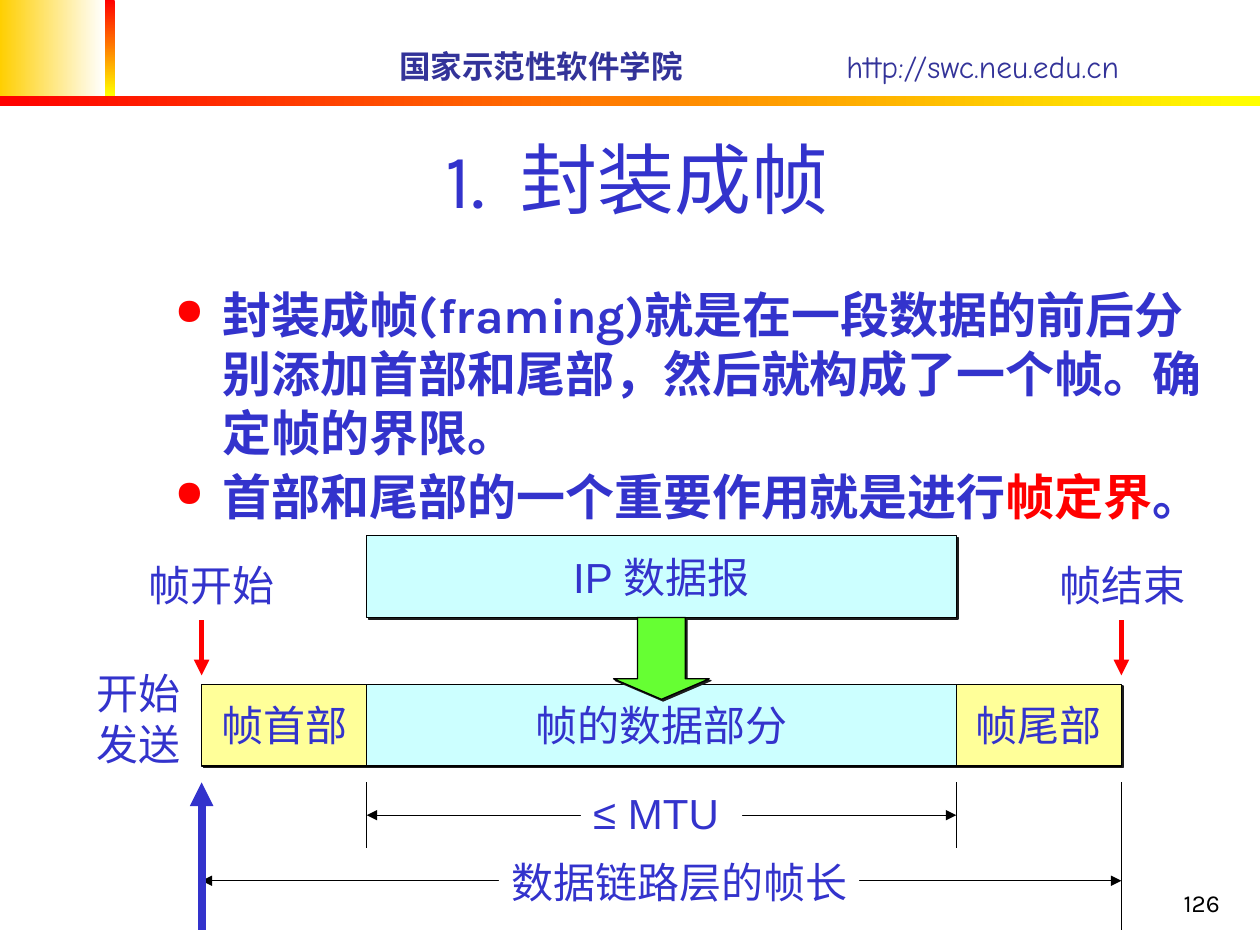
from dataclasses import dataclass

from lxml import etree
from pptx import Presentation
from pptx.dml.color import RGBColor
from pptx.enum.shapes import MSO_CONNECTOR as Connector, MSO_SHAPE as Shape
from pptx.enum.text import MSO_ANCHOR as Anchor, PP_ALIGN as Align
from pptx.oxml.ns import qn
from pptx.util import Inches, Pt


@dataclass(frozen=True)
class Theme:
    ink: str = "3333CC"
    header: str = "333399"
    black: str = "000000"
    white: str = "FFFFFF"
    red: str = "FF0000"
    yellow: str = "FFFF00"
    gold: str = "FFCF01"
    cream: str = "FFFF99"
    aqua: str = "CCFFFF"
    green: str = "66FF33"
    shadow: str = "1C1C1C"
    font: str = "Karla"
    header_font: str = "Comic Neue"
    label_font: str = "Arial"
    title_size: int = 44
    body_size: int = 28
    label_size: int = 24
    header_size: int = 18
    number_size: int = 14


@dataclass(frozen=True)
class Box:
    left: float
    top: float
    width: float
    height: float

    def lengths(self):
        return [Inches(v) for v in (self.left, self.top, self.width, self.height)]


THEME = Theme()


def rgb(value):
    return RGBColor.from_string(value)


def style(span, size, font=THEME.font, color=THEME.ink, bold=False):
    span.font.size = Pt(size)
    span.font.name = font
    span.font.bold = bold
    span.font.color.rgb = rgb(color)


def add_text(page, box, text, size, font=THEME.font, color=THEME.ink,
             bold=False, align=Align.LEFT, anchor=Anchor.TOP, wrap=True):
    label = page.shapes.add_textbox(*box.lengths())
    frame = label.text_frame
    frame.word_wrap = wrap
    frame.vertical_anchor = anchor
    frame.text = text
    for para in frame.paragraphs:
        para.alignment = align
        for span in para.runs:
            style(span, size, font, color, bold)
    return label


def add_label(page, box, text):
    label = add_text(page, box, text, THEME.label_size, THEME.label_font, wrap=False)
    label.text_frame.margin_right = 0
    label.fill.solid()
    label.fill.fore_color.rgb = rgb(THEME.white)


def add_gradient(page, box, start, end, angle=0):
    band = page.shapes.add_shape(Shape.RECTANGLE, *box.lengths())
    band.shadow.inherit = False
    band.line.fill.background()
    band.fill.gradient()
    band.fill.gradient_angle = angle
    for stop, color, position in zip(band.fill.gradient_stops, (start, end), (0, 1)):
        stop.color.rgb = rgb(color)
        stop.position = position


def add_block(page, box, fill, text="", kind=Shape.RECTANGLE):
    block = page.shapes.add_shape(kind, *box.lengths())
    block.fill.solid()
    block.fill.fore_color.rgb = rgb(fill)
    block.line.color.rgb = rgb(THEME.black)
    block.line.width = Pt(0.75)
    block.shadow.inherit = False
    effects = block.element.spPr.find(qn("a:effectLst"))
    shadow = etree.SubElement(effects, qn("a:outerShdw"), dist=str(Pt(1.4)),
                              dir="2700000", algn="ctr", rotWithShape="0")
    etree.SubElement(shadow, qn("a:srgbClr"), val=THEME.shadow)
    frame = block.text_frame
    frame.word_wrap = False
    frame.vertical_anchor = Anchor.MIDDLE
    frame.text = text
    para = frame.paragraphs[0]
    para.alignment = Align.CENTER
    for span in para.runs:
        style(span, THEME.label_size, THEME.label_font)
    return block


def add_line(page, start, end, color=THEME.black, width=0.75, arrows=()):
    line = page.shapes.add_connector(
        Connector.STRAIGHT, *[Inches(v) for v in (*start, *end)])
    line.line.color.rgb = rgb(color)
    line.line.width = Pt(width)
    outline = line.line._get_or_add_ln()
    for tip in arrows:
        etree.SubElement(outline, qn(f"a:{tip}"), type="triangle")
    etree.SubElement(line.element.spPr, qn("a:effectLst"))


def add_header(page, box):
    bar = 0.08
    corner = 0.83
    height = box.height - bar
    add_gradient(page, Box(box.left, box.top, corner, height), THEME.gold, THEME.white)
    add_gradient(page, Box(box.left + corner, box.top, bar, height),
                 THEME.red, THEME.yellow, 270)
    add_gradient(page, Box(box.left, box.top + height, box.width, bar),
                 THEME.red, THEME.yellow)
    for left, width, text, bold in ((3.07, 2.6, "国家示范性软件学院", True),
                                    (6.62, 3.1, "http://swc.neu.edu.cn", False)):
        add_text(page, Box(box.left + left, box.top + 0.32, width, 0.4), text,
                 THEME.header_size, THEME.header_font, THEME.header, bold,
                 anchor=Anchor.MIDDLE)


def add_title(page, box):
    title = add_text(page, box, "", THEME.title_size, anchor=Anchor.BOTTOM)
    para = title.text_frame.paragraphs[0]
    para.alignment = Align.CENTER
    for text, spacing in (("1.", 0), (" ", 1000), ("封装成帧", 0)):
        span = para.add_run()
        span.text = text
        style(span, THEME.title_size)
        span.font._element.set("spc", str(spacing))


def add_bullets(page, box):
    points = (
        (("封装成帧(framing)就是在一段数据的前后分别添加首部和尾部，"
          "然后就构成了一个帧。确定帧的界限。", THEME.ink),),
        (("首部和尾部的一个重要作用就是进行", THEME.ink),
         ("帧定界", THEME.red), ("。", THEME.ink)),
    )
    frame = add_text(page, box, "", THEME.body_size).text_frame
    for index, point in enumerate(points):
        para = frame.add_paragraph() if index else frame.paragraphs[0]
        if index:
            para.space_before = Pt(3)
        properties = para._p.get_or_add_pPr()
        properties.set("marL", str(Inches(0.38)))
        properties.set("indent", str(-Inches(0.38)))
        bullet_color = etree.SubElement(properties, qn("a:buClr"))
        etree.SubElement(bullet_color, qn("a:srgbClr"), val=THEME.red)
        etree.SubElement(properties, qn("a:buSzPct"), val="75000")
        etree.SubElement(properties, qn("a:buChar"), char="●")
        for text, color in point:
            span = para.add_run()
            span.text = text
            style(span, THEME.body_size, color=color, bold=True)


def add_frame_diagram(page, box):
    side, tall = 1.31, 0.65
    left, right = box.left, box.left + box.width
    data_left, data_right = left + side, right - side
    data_width = data_right - data_left
    middle = (left + right) / 2
    row = box.top + 1.18
    guide = row + 0.78
    bottom = box.top + box.height

    add_block(page, Box(data_left, box.top, data_width, tall), THEME.aqua, "IP 数据报")
    for start, width, fill, text in ((left, side, THEME.cream, "帧首部"),
                                     (data_left, data_width, THEME.aqua, "帧的数据部分"),
                                     (data_right, side, THEME.cream, "帧尾部")):
        add_block(page, Box(start, row, width, tall), fill, text)

    both = ("headEnd", "tailEnd")
    for start, end, level in ((data_left, data_right, guide + 0.26),
                              (left, right, guide + 0.78)):
        add_line(page, (start, level), (end, level), arrows=both)
    add_line(page, (left, guide), (left, bottom), THEME.ink, 4.5, ("headEnd",))
    for x, end in ((right, bottom), (data_left, guide + 0.52), (data_right, guide + 0.52)):
        add_line(page, (x, guide), (x, end))

    arrow = add_block(page, Box(middle - 0.38, box.top + tall, 0.76, tall),
                      THEME.green, kind=Shape.DOWN_ARROW)
    arrow.adjustments[0], arrow.adjustments[1] = 0.5, 0.25

    for x, label_left, text in ((left, left - 0.52, "帧开始"),
                                (right, right - 0.59, "帧结束")):
        add_label(page, Box(label_left, box.top + 0.14, 1.2, 0.5), text)
        add_line(page, (x, row - 0.07), (x, row - 0.51), THEME.red, 3, ("headEnd",))
    add_label(page, Box(left - 0.93, row - 0.18, 0.86, 0.9), "开始\n发送")
    add_label(page, Box(middle - 0.64, guide - 0.01, 1.28, 0.5), "≤ MTU")
    add_label(page, Box(middle - 1.29, guide + 0.54, 2.86, 0.5), "数据链路层的帧长")


def add_page_number(page, box):
    add_text(page, box, "126", THEME.number_size, color=THEME.black,
             align=Align.RIGHT, anchor=Anchor.BOTTOM)


def main():
    deck = Presentation()
    deck.slide_width, deck.slide_height = Inches(10), Inches(7.5)
    page = deck.slides.add_slide(deck.slide_layouts[6])
    add_header(page, Box(0, 0, 10, 0.84))
    add_page_number(page, Box(7.7, 6.83, 2.08, 0.5))
    add_title(page, Box(1.26, 0.23, 7.6, 1.6))
    add_bullets(page, Box(1.29, 2.21, 8.5, 4.5))
    add_frame_diagram(page, Box(1.6, 4.25, 7.3, 3.13))
    deck.save("out.pptx")


if __name__ == "__main__":
    main()
